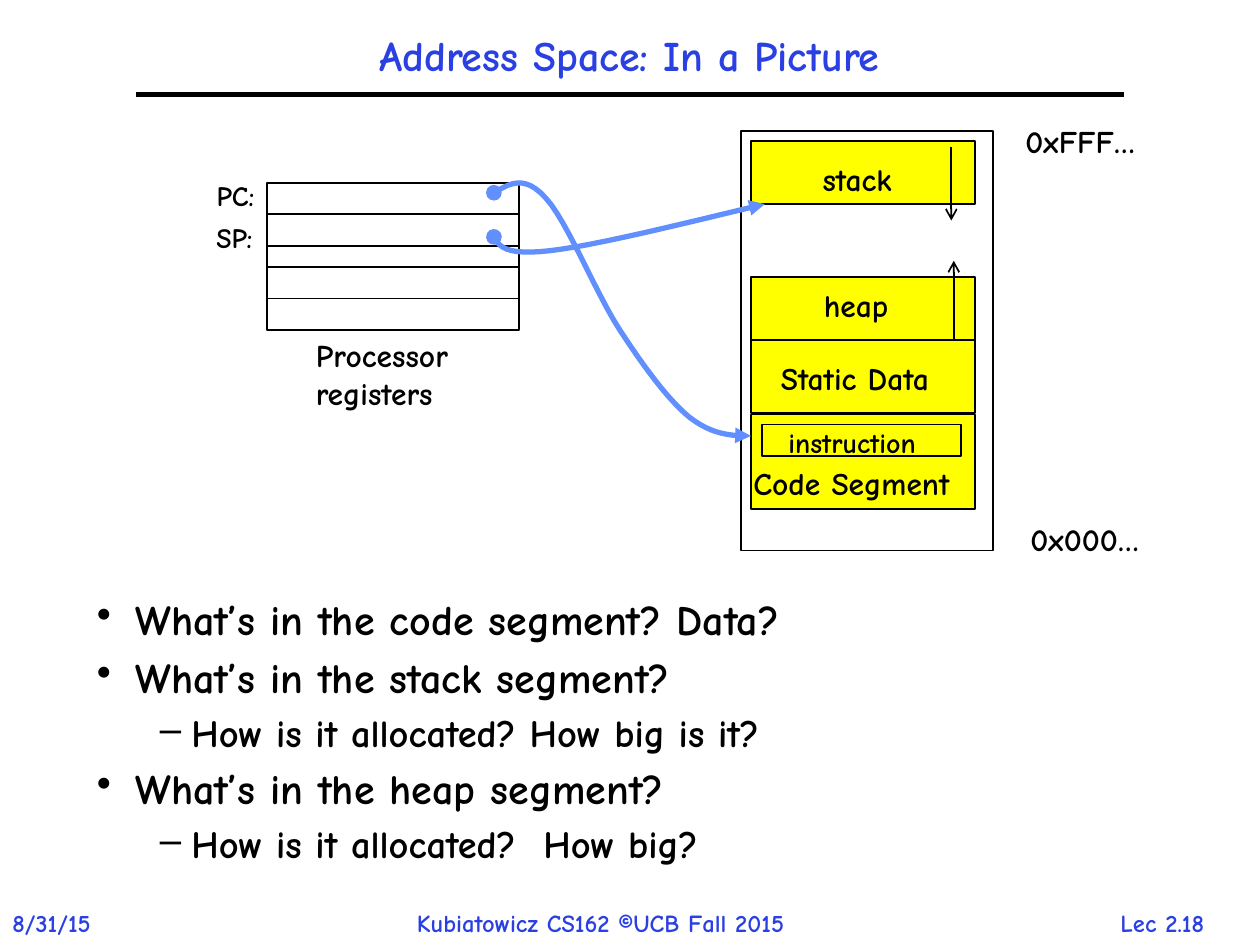
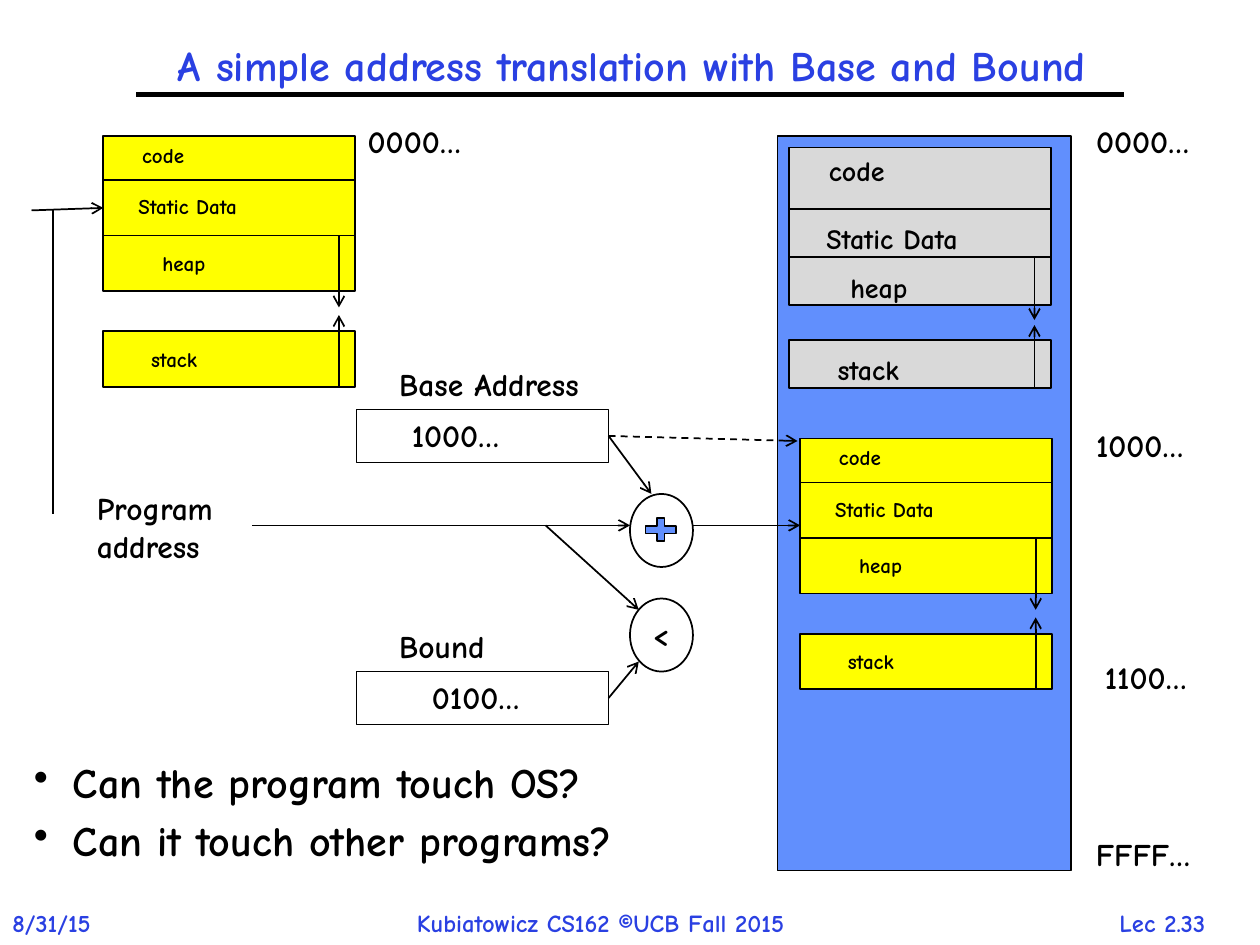
"""Build two lecture slides on address spaces and base-and-bound translation."""
import lxml.etree
import pptx
import pptx.dml.color
import pptx.enum.dml
import pptx.enum.shapes
import pptx.enum.text
import pptx.oxml.ns
import pptx.util

Inches, Pt = pptx.util.Inches, pptx.util.Pt
rgb = pptx.dml.color.RGBColor.from_string
qn = pptx.oxml.ns.qn
MSO = pptx.enum.shapes.MSO_SHAPE
PP_ALIGN = pptx.enum.text.PP_ALIGN
STRAIGHT = pptx.enum.shapes.MSO_CONNECTOR.STRAIGHT

FONT = "Comic Neue"
INK, TITLE, BLUE, YELLOW, GRAY = "000000", "2A40E2", "618FFD", "FFFF00", "D9D9D9"


def add_text(s, x, y, w, h, lines, size=18, color=INK, wrap=False, align=PP_ALIGN.LEFT):
    tb = s.shapes.add_textbox(Inches(x), Inches(y), Inches(w), Inches(h))
    tf = tb.text_frame
    tf.word_wrap = wrap
    if not wrap:
        tf.auto_size = pptx.enum.text.MSO_AUTO_SIZE.SHAPE_TO_FIT_TEXT
    for i, line in enumerate(lines):
        p = tf.paragraphs[0] if i == 0 else tf.add_paragraph()
        p.alignment = align
        r = p.add_run()
        r.text = line
        r.font.name, r.font.size, r.font.bold = FONT, Pt(size), True
        r.font.color.rgb = rgb(color)
    return tf


def add_box(s, x, y, w, h, fill=None, kind=MSO.RECTANGLE):
    sp = s.shapes.add_shape(kind, Inches(x), Inches(y), Inches(w), Inches(h))
    sp.shadow.inherit = False
    if fill:
        sp.fill.solid()
        sp.fill.fore_color.rgb = rgb(fill)
    else:
        sp.fill.background()
    sp.line.color.rgb = rgb(INK)
    sp.line.width = Pt(1)


prs = pptx.Presentation()
prs.slide_width, prs.slide_height = Inches(10), Inches(7.5)
s1, s2 = [prs.slides.add_slide(prs.slide_layouts[6]) for _ in range(2)]

for s, number, title, x, y, w in [
    (s1, "Lec 2.18", "Address Space: In a Picture", 1.08, 0.17, 7.83),
    (s2, "Lec 2.33", "A simple address translation with Base and Bound", 0.75, 0.25, 8.53),
]:
    add_text(s, 8.62, 7.16, 1.21, 0.33, [number], 14, TITLE, align=PP_ALIGN.CENTER)
    add_text(s, 0, 7.16, 1, 0.34, ["8/31/15"], 14, TITLE)
    add_text(s, 3.21, 7.16, 3.61, 0.34, ["Kubiatowicz CS162 ©UCB Fall 2015"], 14, TITLE)
    tf = add_text(s, x, y, w, 0.58, [title], 24, TITLE, True, PP_ALIGN.CENTER)
    tf.vertical_anchor = pptx.enum.text.MSO_ANCHOR.MIDDLE
    tf.paragraphs[0].line_spacing = 0.9

for x, y, w, h, fill in [
    (2.12, 1.45, 2, 1.17, None),
    (2.12, 1.7, 2, 0.25, None),
    (2.12, 2.12, 2, 0.25, None),
    (5.88, 1.04, 2, 3.33, None),
    (5.96, 3.29, 1.78, 0.75, YELLOW),
    (5.96, 2.7, 1.78, 0.58, YELLOW),
    (5.96, 2.2, 1.78, 0.5, YELLOW),
    (5.96, 1.12, 1.78, 0.5, YELLOW),
    (6.05, 3.37, 1.58, 0.25, None),
]:
    add_box(s1, x, y, w, h, fill)

add_box(s2, 6.17, 1.08, 2.33, 5.83, BLUE)
for y in (3.25, 5.33):
    add_box(s2, 2.83, y, 2, 0.42)
add_box(s2, 5.08, 4.08, 0.33, 0.25, BLUE, MSO.MATH_PLUS)
for y in (3.92, 4.75):
    add_box(s2, 5, y, 0.5, 0.58, kind=MSO.OVAL)

arrows = [(s1, 7.57, 2.7, 7.57, 2.07), (s1, 7.55, 1.17, 7.55, 1.75)]

program = [
    ("code", 0, 0.35, 0.21, 0, 0.65),
    ("Static Data", 0.35, 0.44, 0.18, 0.41, 1.17),
    ("heap", 0.79, 0.44, 0.37, 0.86, 0.66),
    ("stack", 1.55, 0.44, 0.28, 1.62, 0.68),
]
other_program = [
    ("code", 0, 0.49, 0.22, 0, 0.78),
    ("Static Data", 0.49, 0.38, 0.2, 0.54, 1.48),
    ("heap", 0.87, 0.38, 0.39, 0.93, 0.8),
    ("stack", 1.53, 0.38, 0.29, 1.58, 0.84),
]
for left, top, width, fill, size, label_h, segments, grow_x, grow in [
    (6.26, 1.17, 2.08, GRAY, 16, 0.29, other_program, 1.95, 0.5),
    (6.35, 3.48, 2, YELLOW, 12, 0.4, program, 1.87, 0.57),
    (0.82, 1.08, 2, YELLOW, 12, 0.4, program, 1.87, 0.57),
]:
    for label, y, h, label_x, label_y, label_w in segments:
        add_box(s2, left, top + y, width, h, fill)
        add_text(s2, left + label_x, top + label_y, label_w, label_h, [label], size)
    x, heap_top, stack_end = left + grow_x, top + segments[2][1], top + y + h
    arrows += [(s2, x, stack_end, x, stack_end - grow), (s2, x, heap_top, x, heap_top + grow)]

for s, x, y, w, h, lines, size in [
    (s1, 2.41, 2.62, 1.34, 0.71, ["Processor", "registers"], 18),
    (s1, 1.62, 1.37, 0.58, 0.37, ["PC:"], 16),
    (s1, 1.62, 1.7, 0.56, 0.37, ["SP:"], 16),
    (s1, 8.08, 4.08, 1.14, 0.4, ["0x000…"], 18),
    (s1, 8.04, 0.92, 1.18, 0.4, ["0xFFF…"], 18),
    (s1, 5.88, 3.63, 1.89, 0.4, ["Code Segment"], 18),
    (s1, 6.1, 2.8, 1.44, 0.4, ["Static Data"], 18),
    (s1, 6.44, 2.22, 0.76, 0.4, ["heap"], 18),
    (s1, 6.43, 1.22, 0.79, 0.4, ["stack"], 18),
    (s1, 6.16, 3.33, 1.33, 0.37, ["instruction"], 16),
    (s2, 8.6, 0.92, 1.02, 0.4, ["0000…"], 18),
    (s2, 8.6, 3.33, 1.02, 0.4, ["1000…"], 18),
    (s2, 8.67, 5.17, 1, 0.4, ["1100…"], 18),
    (s2, 8.6, 6.58, 1.07, 0.4, ["FFFF…"], 18),
    (s2, 2.82, 0.92, 1.02, 0.4, ["0000…"], 18),
    (s2, 0.67, 3.83, 1.17, 0.71, ["Program", "address"], 18),
    (s2, 3.07, 2.85, 1.76, 0.4, ["Base Address"], 18),
    (s2, 3.17, 3.25, 1.02, 0.4, ["1000…"], 18),
    (s2, 3.33, 5.33, 1.02, 0.4, ["0100…"], 18),
    (s2, 5.08, 4.83, 0.35, 0.4, ["<"], 18),
]:
    add_text(s, x, y, w, h, lines, size, wrap=lines == ["instruction"])
add_text(s2, 3.07, 4.93, 1.09, 0.4, ["Bound"], wrap=True)

for s, x, y, w, h, bullets in [
    (s1, 0.67, 4.71, 8.52, 2.62, [
        (0, "What’s in the code segment? Data?"),
        (0, "What’s in the stack segment?"),
        (1, "How is it allocated? How big is it?"),
        (0, "What’s in the heap segment?"),
        (1, "How is it allocated?  How big?"),
    ]),
    (s2, 0.17, 6, 5.83, 1.25, [
        (0, "Can the program touch OS?"),
        (0, "Can it touch other programs?"),
    ]),
]:
    tf = add_text(s, x, y, w, h, [text for _, text in bullets], 24, wrap=True)
    for p, (level, _) in zip(tf.paragraphs, bullets):
        size, margin, indent, mark = [(24, 0.31, -0.31, "•"), (22, 0.75, -0.25, "–")][level]
        p.level = level
        p.line_spacing = 0.9
        p.space_before = Pt(0.3 * size)
        p.runs[0].font.size = Pt(size)
        pPr = p._p.get_or_add_pPr()
        pPr.set("marL", str(Inches(margin)))
        pPr.set("indent", str(Inches(indent)))
        lxml.etree.SubElement(pPr, qn("a:buFontTx"))
        lxml.etree.SubElement(pPr, qn("a:buChar")).set("char", mark)

arrows += [
    (s2, 2, 4.17, 5, 4.17),
    (s2, 0.25, 1.67, 0.82, 1.65),
    (s2, 5.5, 4.17, 6.35, 4.17),
    (s2, 4.83, 3.46, 5.17, 3.92),
    (s2, 4.33, 4.17, 5.07, 4.84),
    (s2, 4.83, 5.54, 5.07, 5.25),
]
lines = [(*arrow, 1, False, "arrow") for arrow in arrows] + [
    (s2, 4.83, 3.46, 6.33, 3.5, 1, True, "arrow"),
    (s2, 0.42, 1.67, 0.42, 4.08, 1, False, None),
    (s1, 1.08, 0.75, 8.92, 0.75, 3, False, None),
    (s2, 1.08, 0.75, 8.92, 0.75, 3, False, None),
]
strokes = []
for s, x1, y1, x2, y2, weight, dashed, tail in lines:
    cx = s.shapes.add_connector(STRAIGHT, Inches(x1), Inches(y1), Inches(x2), Inches(y2))
    strokes.append((cx, INK, weight, dashed, None, tail))

pc_curve = [(3.92, 1.53), (4.04, 1.46), (4.16, 1.38), (4.33, 1.57), (4.5, 1.75),
            (4.73, 2.33), (4.92, 2.62), (5.11, 2.91), (5.3, 3.17), (5.47, 3.31),
            (5.65, 3.45), (5.8, 3.46), (5.96, 3.46)]
sp_curve = [(3.92, 1.88), (3.96, 1.95), (4, 2.03), (4.36, 1.99), (4.72, 1.95),
            (5.4, 1.78), (6.07, 1.62)]
STEPS = 12
for curve in (pc_curve, sp_curve):
    curve = [(Inches(x), Inches(y)) for x, y in curve]
    points = []
    for i in range(0, len(curve) - 1, 3):
        for step in range(1, STEPS + 1):
            t = step / STEPS
            weights = ((1 - t) ** 3, 3 * t * (1 - t) ** 2, 3 * t * t * (1 - t), t ** 3)
            points.append([sum(k * c for k, c in zip(weights, axis)) for axis in zip(*curve[i:i + 4])])
    fb = s1.shapes.build_freeform(*curve[0])
    fb.add_line_segments(points, close=False)
    sp = fb.convert_to_shape()
    sp.fill.background()
    strokes.append((sp, BLUE, 3, False, "oval", "triangle"))

for sp, color, weight, dashed, head, tail in strokes:
    sp.line.color.rgb = rgb(color)
    sp.line.width = Pt(weight)
    if dashed:
        sp.line.dash_style = pptx.enum.dml.MSO_LINE.DASH
    spPr = sp._element.spPr
    ln = spPr.find(qn("a:ln"))
    for tag, end in (("a:headEnd", head), ("a:tailEnd", tail)):
        if end:
            lxml.etree.SubElement(ln, qn(tag)).set("type", end)
    lxml.etree.SubElement(spPr, qn("a:effectLst"))

prs.save("out.pptx")
